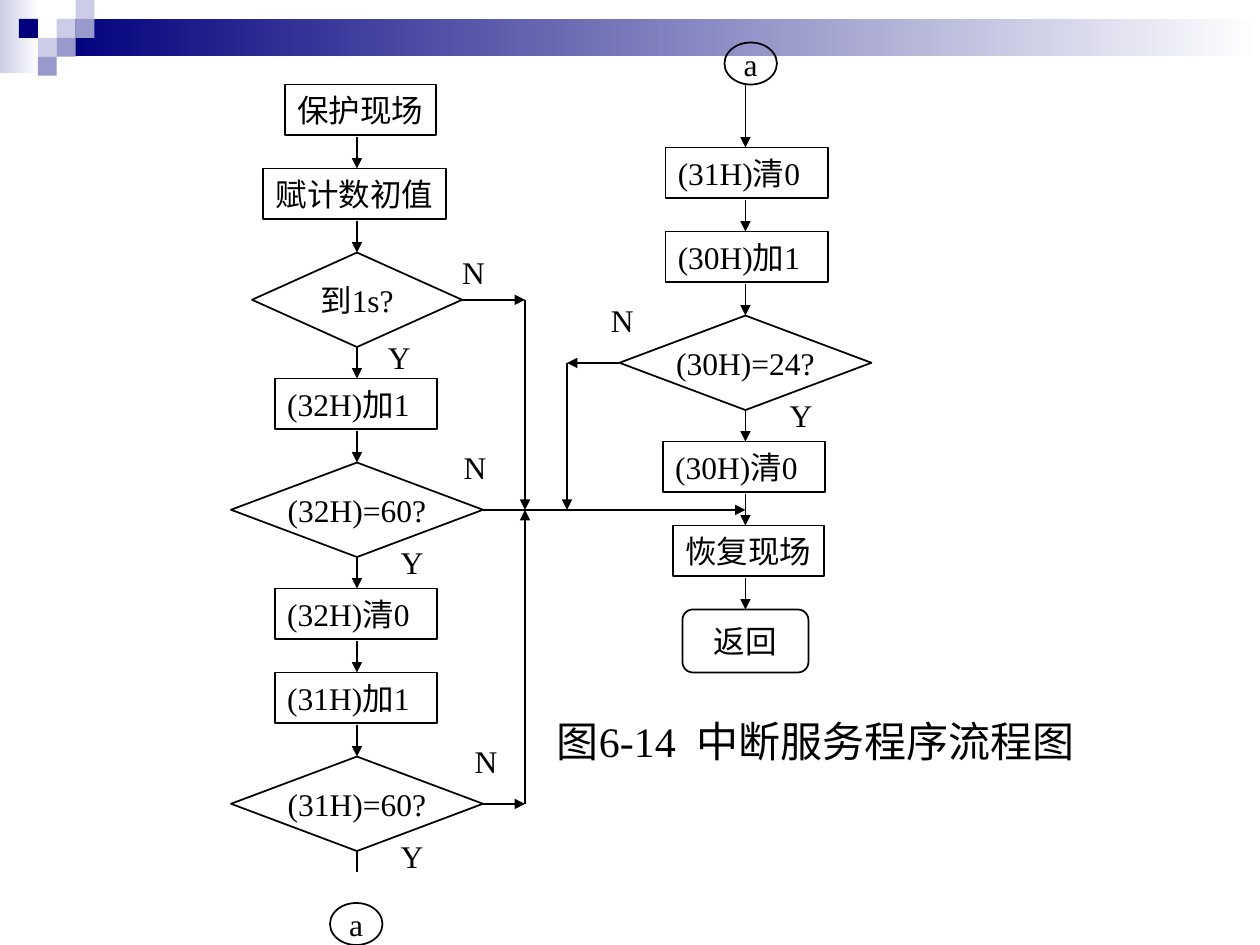
from lxml.etree import SubElement
from pptx import Presentation
from pptx.dml.color import RGBColor
from pptx.enum.shapes import MSO_CONNECTOR, MSO_SHAPE
from pptx.enum.text import MSO_ANCHOR, MSO_AUTO_SIZE, PP_ALIGN
from pptx.oxml.ns import qn
from pptx.util import Pt

FONT = "Times New Roman"
INK = "000000"
LEFT_X, RIGHT_X = 204, 426
MERGE_X, RETURN_X, MERGE_Y = 300, 324, 291.4
BOX, DECISION, END = "box", "decision", "end"
KINDS = {
    BOX: (MSO_SHAPE.RECTANGLE, 29, 30),
    DECISION: (MSO_SHAPE.FLOWCHART_DECISION, 54, 54),
    END: (MSO_SHAPE.FLOWCHART_ALTERNATE_PROCESS, 36, 36),
}
LEFT_STEPS = [
    (BOX, "保护现场", 162.7, 86.4),
    (BOX, "赋计数初值", 150.5, 104.4),
    (DECISION, "到1s?", 144, 120),
    (BOX, "(32H)加1", 157, 92.9),
    (DECISION, "(32H)=60?", 132, 144),
    (BOX, "(32H)清0", 157, 92.9),
    (BOX, "(31H)加1", 157, 92.9),
    (DECISION, "(31H)=60?", 132, 144),
]
RIGHT_STEPS = [
    (BOX, "(31H)清0", 380.2, 92.9),
    (BOX, "(30H)加1", 380.2, 92.9),
    (DECISION, "(30H)=24?", 354, 144),
    (BOX, "(30H)清0", 378.7, 92.9),
    (BOX, "恢复现场", 384.5, 86.4),
    (END, "返回", 390, 72),
]
BRANCH_LABELS = {
    "N": [(257, 141.1), (257.8, 252.7), (264.2, 420.5), (342, 168.5)],
    "Y": [(214.6, 189.4), (221.8, 306.7), (221.8, 474.5), (444.2, 222.5)],
}
SQUARES = [
    (3, 1, "CCCCE6"), (4, 0, "CCCCE6"), (4, 1, "9999CC"), (2, 2, "CCCCE6"),
    (1, 1, "00007D"), (3, 2, "9999CC"), (2, 3, "9999CC"),
]


def rgb(value):
    """Turn a hex string into a colour."""
    return RGBColor.from_string(value)


def write(sp, text, size=18, align=PP_ALIGN.LEFT, anchor=MSO_ANCHOR.TOP):
    """Put one formatted line of text into a shape."""
    tf = sp.text_frame
    tf.word_wrap = False
    tf.auto_size = MSO_AUTO_SIZE.NONE
    tf.vertical_anchor = anchor
    tf.margin_left = tf.margin_right = Pt(7.2)
    tf.margin_top = tf.margin_bottom = Pt(3.6)
    p = tf.paragraphs[0]
    p.alignment = align
    r = p.add_run()
    r.text = text
    r.font.size = Pt(size)
    r.font.name = FONT
    r.font.color.rgb = rgb(INK)


def add_band(s, x, y, w, h, *colors):
    """Add a borderless rectangle, solid or fading from right to left."""
    sp = s.shapes.add_shape(MSO_SHAPE.RECTANGLE, Pt(x), Pt(y), Pt(w), Pt(h))
    sp.shadow.inherit = False
    sp.line.fill.background()
    if len(colors) == 1:
        sp.fill.solid()
        sp.fill.fore_color.rgb = rgb(colors[0])
    else:
        sp.fill.gradient()
        sp.fill.gradient_angle = 180
        for stop, color in zip(sp.fill.gradient_stops, colors):
            stop.color.rgb = rgb(color)


def add_node(s, shape, text, x, y, w, h):
    """Add an outlined flowchart node."""
    sp = s.shapes.add_shape(shape, Pt(x), Pt(y), Pt(w), Pt(h))
    sp.shadow.inherit = False
    sp.fill.background()
    sp.line.color.rgb = rgb(INK)
    sp.line.width = Pt(1)
    if shape == MSO_SHAPE.RECTANGLE:
        write(sp, text)
    else:
        write(sp, text, align=PP_ALIGN.CENTER, anchor=MSO_ANCHOR.MIDDLE)


def add_line(s, x1, y1, x2, y2, arrow=True):
    """Add a straight flow line, with an arrowhead at its end if wanted."""
    cn = s.shapes.add_connector(
        MSO_CONNECTOR.STRAIGHT, Pt(x1), Pt(y1), Pt(x2), Pt(y2))
    cn.line.color.rgb = rgb(INK)
    cn.line.width = Pt(1)
    if arrow:
        SubElement(cn.line._get_or_add_ln(), qn("a:tailEnd"), type="triangle")
    SubElement(cn._element.spPr, qn("a:effectLst"))


def add_label(s, text, x, y):
    """Add a branch label."""
    write(s.shapes.add_textbox(Pt(x), Pt(y), Pt(27.4), Pt(28.8)), text)


def add_column(s, axis, top, steps):
    """Stack flowchart steps and join them by arrows along one axis."""
    for i, (kind, text, x, w) in enumerate(steps):
        shape, h, exit_y = KINDS[kind]
        add_node(s, shape, text, x, top, w, h)
        if i < len(steps) - 1:
            add_line(s, axis, top + exit_y, axis, top + exit_y + 18)
        top += exit_y + 18


def add_header(s):
    """Draw the fading bars and the squares at the top."""
    add_band(s, 0, 0, 22.3, 41.8, "FFFFFF", "CCCCE6")
    add_band(s, 32.4, 10.8, 687.6, 21.3, "FFFFFF", "00007D")
    for col, row, color in SQUARES:
        add_band(s, col * 10.8, row * 10.8, 10.8, 10.8, color)


def add_caption(s, text):
    """Place the title as the figure caption."""
    sp = s.shapes.title
    sp.left, sp.top, sp.width, sp.height = Pt(311), Pt(405.4), Pt(336), Pt(36)
    write(sp, text, size=24)


def main():
    """Build the flowchart slide."""
    prs = Presentation()
    prs.slide_width, prs.slide_height = Pt(720), Pt(540)
    s = prs.slides.add_slide(prs.slide_layouts[5])
    add_header(s)
    add_column(s, LEFT_X, 48.3, LEFT_STEPS)
    add_column(s, RIGHT_X, 84.3, RIGHT_STEPS)
    for x, y in [(188.6, 516), (414, 24.3)]:
        add_node(s, MSO_SHAPE.FLOWCHART_CONNECTOR, "a", x, y, 30, 24)
    add_line(s, RIGHT_X, 48.3, RIGHT_X, 84.3)
    add_line(s, LEFT_X, 486.4, LEFT_X, 498.4, arrow=False)
    add_line(s, 276, MERGE_Y, RIGHT_X, MERGE_Y)
    for start, turn, y in [(264, MERGE_X, 171.3), (276, MERGE_X, 459.4),
                           (354, RETURN_X, 207.4)]:
        add_line(s, start, y, turn, y)
        add_line(s, turn, y, turn, MERGE_Y)
    for text, places in BRANCH_LABELS.items():
        for x, y in places:
            add_label(s, text, x, y)
    add_caption(s, "图6-14  中断服务程序流程图")
    prs.save("out.pptx")


if __name__ == "__main__":
    main()
